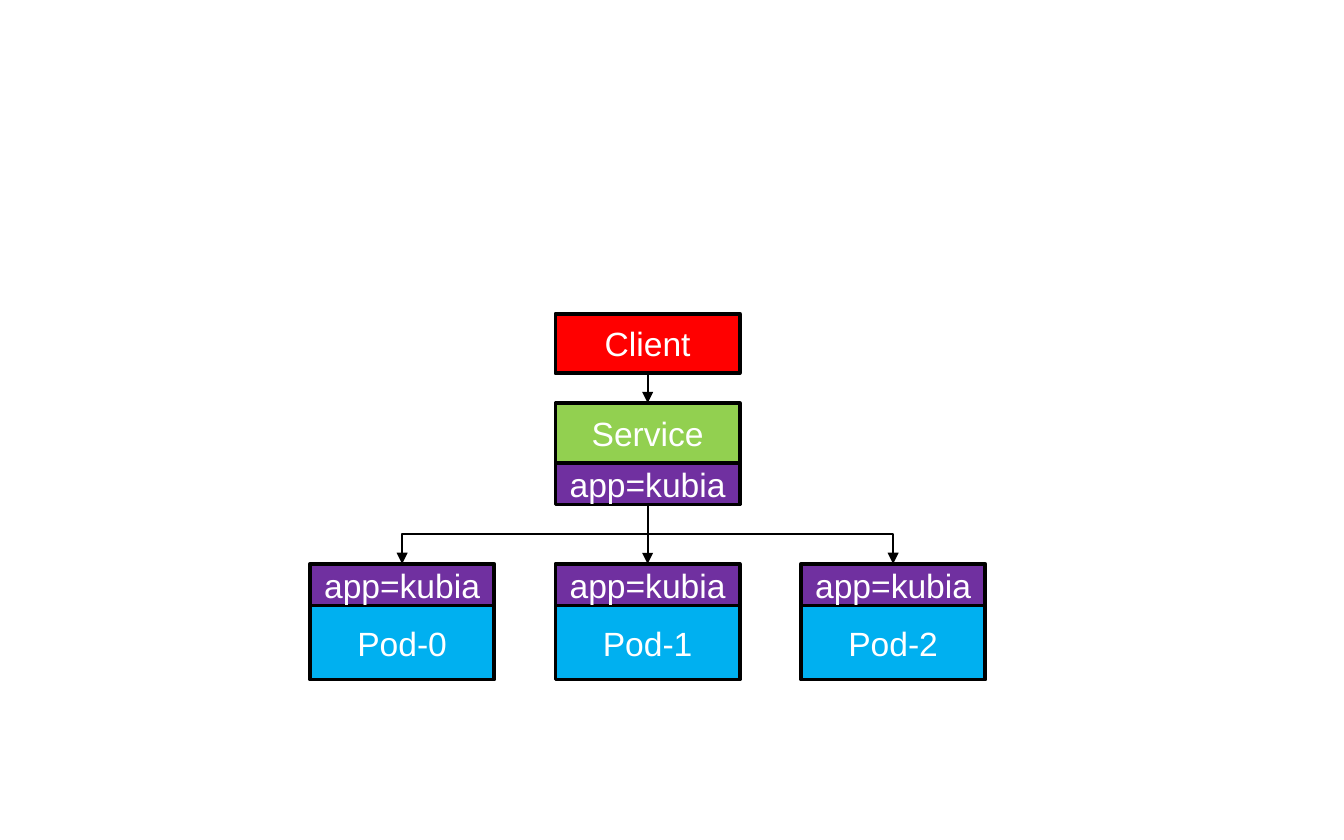
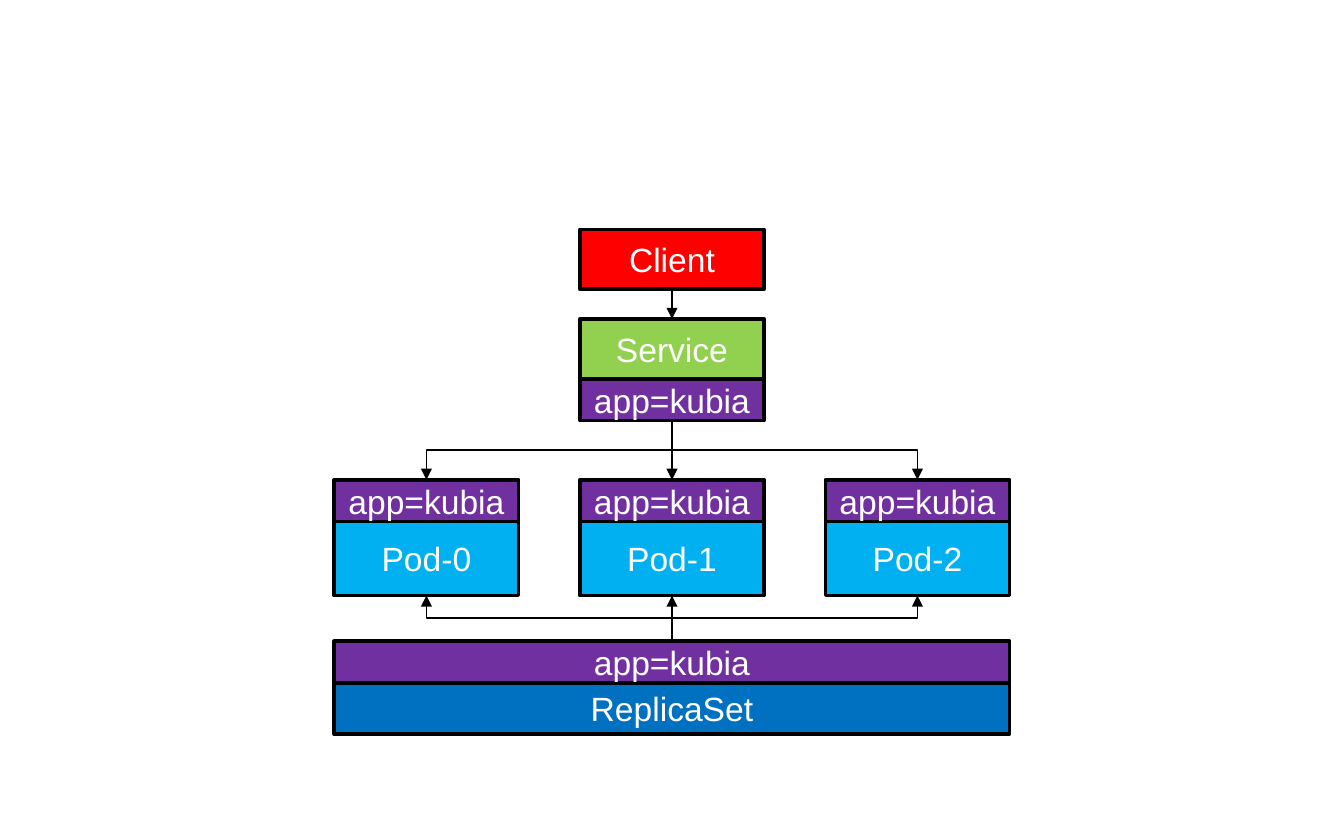
from dataclasses import dataclass

from lxml.etree import SubElement
from pptx import Presentation
from pptx.dml.color import RGBColor
from pptx.enum.shapes import MSO_CONNECTOR, MSO_SHAPE
from pptx.enum.text import MSO_ANCHOR, PP_ALIGN
from pptx.oxml.ns import qn
from pptx.util import Cm, Pt


@dataclass(frozen=True)
class Theme:
    font: str = "Arial"
    text_size: float = 18
    border: float = 2
    arrow: float = 1
    text: str = "FFFFFF"
    line: str = "000000"
    client: str = "FF0000"
    service: str = "92D050"
    label: str = "7030A0"
    pod: str = "00B0F0"
    replica_set: str = "0070C0"


@dataclass(frozen=True)
class Box:
    """A region in centimetres."""
    left: float
    top: float
    width: float
    height: float

    def inner(self, left, top, width, height):
        return Box(self.left + left, self.top + top, width, height)


THEME = Theme()
LABEL = "app=kubia"
POD_COUNT = 3
NODE_WIDTH = 3.48
NODE_HEIGHT = 1.13
LABEL_HEIGHT = 0.79
POD_HEIGHT = 1.4
REPLICA_HEIGHT = 0.97
CLIENT_GAP = 0.56
POD_GAP = 1.12
REPLICA_GAP = 0.86
TOP_SITE, BOTTOM_SITE = 0, 2


def add_node(page, box, text, fill):
    node = page.shapes.add_shape(
        MSO_SHAPE.RECTANGLE, Cm(box.left), Cm(box.top), Cm(box.width), Cm(box.height))
    node.shadow.inherit = False
    node.fill.solid()
    node.fill.fore_color.rgb = RGBColor.from_string(fill)
    node.line.color.rgb = RGBColor.from_string(THEME.line)
    node.line.width = Pt(THEME.border)
    frame = node.text_frame
    frame.word_wrap = True
    frame.vertical_anchor = MSO_ANCHOR.MIDDLE
    frame.margin_left = frame.margin_right = 0
    para = frame.paragraphs[0]
    para.alignment = PP_ALIGN.CENTER
    span = para.add_run()
    span.text = text
    span.font.name = THEME.font
    span.font.size = Pt(THEME.text_size)
    span.font.color.rgb = RGBColor.from_string(THEME.text)
    return node


def add_arrow(page, source, source_site, target, target_site):
    """Join two nodes: straight if they share a centre line, else with an elbow."""
    shift = (target.left + target.width // 2) - (source.left + source.width // 2)
    straight = abs(shift) < Cm(0.05)
    kind = MSO_CONNECTOR.STRAIGHT if straight else MSO_CONNECTOR.ELBOW
    arrow = page.shapes.add_connector(kind, 0, 0, 0, 0)
    arrow.begin_connect(source, source_site)
    arrow.end_connect(target, target_site)
    if not straight:
        turn_elbow(arrow)
    arrow.line.color.rgb = RGBColor.from_string(THEME.line)
    arrow.line.width = Pt(THEME.arrow)
    properties = arrow._element.spPr
    SubElement(properties.find(qn("a:ln")), qn("a:tailEnd"), type="triangle")
    SubElement(properties, qn("a:effectLst"))


def turn_elbow(arrow):
    """Turn an elbow so that it leaves and arrives vertically."""
    across = arrow.end_x - arrow.begin_x
    down = arrow.end_y - arrow.begin_y
    center_x = (arrow.begin_x + arrow.end_x) // 2
    center_y = (arrow.begin_y + arrow.end_y) // 2
    arrow.width, arrow.height = abs(down), abs(across)
    arrow.left = center_x - arrow.width // 2
    arrow.top = center_y - arrow.height // 2
    quarter_turns = 3 if (across > 0) == (down > 0) else 1
    frame = arrow._element.spPr.find(qn("a:xfrm"))
    frame.set("rot", str(quarter_turns * 90 * 60000))
    frame.set("flipH", str(int(across > 0)))
    frame.set("flipV", str(int(down < 0)))


def add_service(page, box):
    """Client above a service with its selector; returns the selector."""
    service_top = NODE_HEIGHT + CLIENT_GAP
    service = add_node(page, box.inner(0, service_top, box.width, NODE_HEIGHT),
                       "Service", THEME.service)
    selector = add_node(page, box.inner(0, service_top + NODE_HEIGHT, box.width, LABEL_HEIGHT),
                        LABEL, THEME.label)
    client = add_node(page, box.inner(0, 0, box.width, NODE_HEIGHT), "Client", THEME.client)
    add_arrow(page, client, BOTTOM_SITE, service, TOP_SITE)
    return selector


def add_pods(page, box):
    """Evenly spread pods with labels on top; returns both lists."""
    pitch = (box.width - NODE_WIDTH) / (POD_COUNT - 1)
    pods = [add_node(page, box.inner(i * pitch, LABEL_HEIGHT, NODE_WIDTH, POD_HEIGHT),
                     f"Pod-{i}", THEME.pod) for i in range(POD_COUNT)]
    labels = [add_node(page, box.inner(i * pitch, 0, NODE_WIDTH, LABEL_HEIGHT),
                       LABEL, THEME.label) for i in range(POD_COUNT)]
    return pods, labels


def add_replica_set(page, box):
    """Replica set under its selector; returns the selector."""
    add_node(page, box.inner(0, LABEL_HEIGHT, box.width, REPLICA_HEIGHT),
             "ReplicaSet", THEME.replica_set)
    return add_node(page, box.inner(0, 0, box.width, LABEL_HEIGHT), LABEL, THEME.label)


def add_diagram(deck, box, with_replica_set=False):
    page = deck.slides.add_slide(deck.slide_layouts[6])

    # Service and pods
    service_height = 2 * NODE_HEIGHT + CLIENT_GAP + LABEL_HEIGHT
    pods_top = service_height + POD_GAP
    pods_height = LABEL_HEIGHT + POD_HEIGHT
    pods, labels = add_pods(page, box.inner(0, pods_top, box.width, pods_height))
    selector = add_service(
        page, box.inner((box.width - NODE_WIDTH) / 2, 0, NODE_WIDTH, service_height))
    for label in labels:
        add_arrow(page, selector, BOTTOM_SITE, label, TOP_SITE)

    # Replica set that manages the pods
    if with_replica_set:
        replica_top = pods_top + pods_height + REPLICA_GAP
        manager = add_replica_set(
            page, box.inner(0, replica_top, box.width, LABEL_HEIGHT + REPLICA_HEIGHT))
        for pod in pods:
            add_arrow(page, manager, TOP_SITE, pod, BOTTOM_SITE)


def main():
    deck = Presentation()
    deck.slide_width, deck.slide_height = Cm(25.4), Cm(15.88)
    add_diagram(deck, Box(5.86, 5.93, 12.76, 6.92))
    add_diagram(deck, Box(6.32, 4.34, 12.76, 9.54), with_replica_set=True)
    deck.save("out.pptx")


if __name__ == "__main__":
    main()
